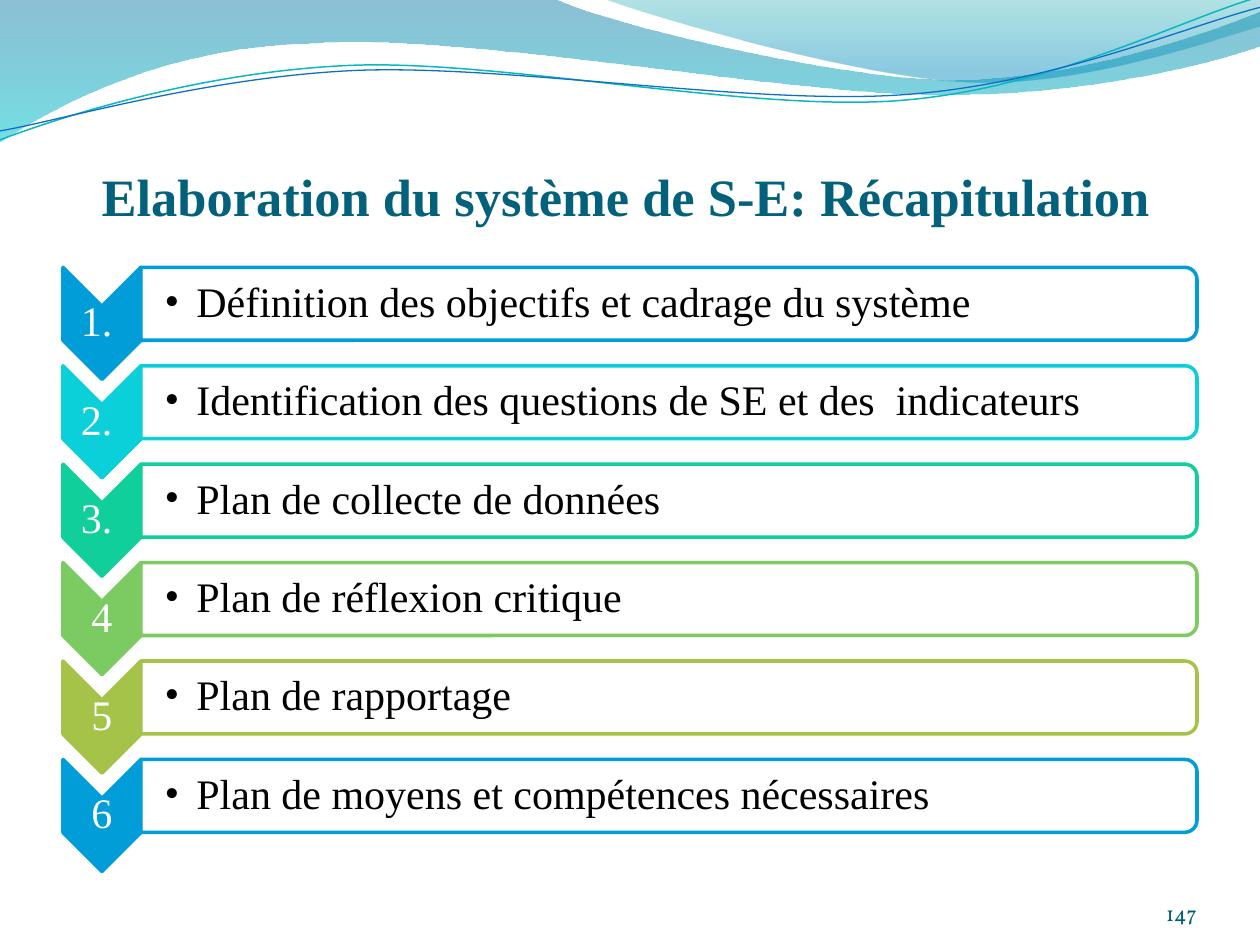
from lxml.etree import SubElement
from pptx import Presentation
from pptx.dml.color import RGBColor
from pptx.enum.shapes import MSO_SHAPE as Preset
from pptx.enum.text import MSO_ANCHOR as Anchor, MSO_AUTO_SIZE as AutoSize, PP_ALIGN as Align
from pptx.oxml.ns import qn
from pptx.util import Cm, Pt

SERIF = "Times New Roman"
STEPS = [
    ("1. ", "Définition des objectifs et cadrage du système", "009DD9"),
    ("2. ", "Identification des questions de SE et des  indicateurs", "0BD0D9"),
    ("3. ", "Plan de collecte de données", "10CF9B"),
    ("4", "Plan de réflexion critique", "7CCA62"),
    ("5", "Plan de rapportage", "A5C249"),
    ("6", "Plan de moyens et compétences nécessaires", "009DD9"),
]
FIRST_STEP_TOP, LAST_STEP_TOP = 5.39, 15.31
STEP_PITCH = (LAST_STEP_TOP - FIRST_STEP_TOP) / (len(STEPS) - 1)

# Each wave is a start point followed by segments: one point for a straight
# line, three points for a Bézier curve. All values are centimetres.
LARGE_WAVE = [
    (0, 0),
    [(11.18, -0.03)],
    [(12.09, 0.43), (16.87, 1.6), (19.25, 1.6)],
    [(21.67, 1.6), (24.33, 0.66), (25.4, 0.23)],
    [(25.43, 0.91)],
    [(24.97, 1.12), (22.1, 1.93), (18.95, 1.91)],
    [(15.8, 1.91), (9.7, 0.71), (6.53, 0.86)],
    [(3.28, 0.91), (1.17, 2.11), (-0.03, 2.87)],
    [(0, 0)],
]
SMALL_WAVE = [
    (12.17, -0.03),
    [(12.93, 0.28), (17.32, 1.57), (19.53, 1.65)],
    [(21.74, 1.75), (24.41, 0.81), (25.4, 0.53)],
    [(25.4, 0)],
    [(12.17, -0.03)],
]
TEAL_RIPPLE = [
    (0, 2.82),
    [(1.22, 2.36), (4.01, 1.45), (7.04, 1.32)],
    [(10.03, 1.19), (15.06, 2.26), (18.11, 2.03)],
    [(21.16, 1.8), (23.83, 0.38), (25.35, -0.05)],
]
BLUE_RIPPLE = [
    (0, 2.64),
    [(1.19, 2.44), (4.17, 1.55), (7.19, 1.42)],
    [(10.24, 1.3), (15.16, 2.13), (18.21, 1.91)],
    [(21.23, 1.7), (23.9, 0.53), (25.4, 0.15)],
]


def rgb(hex_code):
    return RGBColor.from_string(hex_code)


def set_opacity(color_parent, percent):
    color = next(color_parent.iter(qn("a:srgbClr")))
    SubElement(color, qn("a:alpha"), val=str(percent * 1000))


def bend_segments(wave, segments):
    """Merge the three straight lines of each curved segment into one Bézier."""
    lines = iter(list(wave._element.spPr.iter(qn("a:lnTo"))))
    for segment in segments:
        controls = [next(lines) for _ in segment]
        if len(controls) == 3:
            outline = controls[0].getparent()
            curve = SubElement(outline, qn("a:cubicBezTo"))
            controls[0].addprevious(curve)
            for line in controls:
                curve.append(line[0])
                outline.remove(line)


def add_wave(slide, outline, closed):
    start, *segments = outline
    builder = slide.shapes.build_freeform(*map(Cm, start))
    builder.add_line_segments(
        [(Cm(x), Cm(y)) for segment in segments for x, y in segment], close=False)
    wave = builder.convert_to_shape()
    bend_segments(wave, segments)
    if closed:
        SubElement(next(wave._element.spPr.iter(qn("a:path"))), qn("a:close"))
    wave.shadow.inherit = False
    return wave


def add_gradient_wave(slide, outline, stops):
    """Fill top to bottom; each stop is (position, colour, opacity percent)."""
    wave = add_wave(slide, outline, closed=True)
    wave.line.fill.background()
    wave.fill.gradient()
    wave.fill.gradient_angle = 270
    for stop, (position, color, _) in zip(wave.fill.gradient_stops, stops):
        stop.position = position
        stop.color.rgb = rgb(color)
    for element, (_, _, opacity) in zip(wave._element.spPr.iter(qn("a:gs")), stops):
        set_opacity(element, opacity)


def add_ripple(slide, outline, color, width):
    ripple = add_wave(slide, outline, closed=False)
    ripple.fill.background()
    ripple.line.color.rgb = rgb(color)
    ripple.line.width = Pt(width)


def write(holder, text, *, size, color, font=SERIF, bold=False, align=Align.LEFT,
          anchor=Anchor.MIDDLE, insets=(0, 0, 0, 0), spacing=1.0, bullet=False):
    """Insets are left, top, right and bottom in centimetres."""
    frame = holder.text_frame
    frame.word_wrap = True
    frame.auto_size = AutoSize.NONE
    frame.vertical_anchor = anchor
    (frame.margin_left, frame.margin_top,
     frame.margin_right, frame.margin_bottom) = map(Cm, insets)
    paragraph = frame.paragraphs[0]
    paragraph.alignment = align
    paragraph.line_spacing = spacing
    if bullet:
        paragraph.level = 1
        properties = paragraph._p.get_or_add_pPr()
        properties.set("marL", str(Cm(0.64)))
        properties.set("indent", str(-Cm(0.64)))
        SubElement(properties, qn("a:buFont"), typeface=font)
        SubElement(properties, qn("a:buChar"), char="•")
    run = paragraph.add_run()
    run.text = text
    run.font.name = font
    run.font.size = Pt(size)
    run.font.bold = bold
    run.font.color.rgb = rgb(color)


def add_label(slide, text, left, top, width, height, **text_format):
    label = slide.shapes.add_textbox(Cm(left), Cm(top), Cm(width), Cm(height))
    write(label, text, **text_format)


def add_turned(slide, preset, left, top, width, height, fill, outline):
    """Place a shape turned by 90 degrees so that it covers the given area."""
    shift = (width - height) / 2
    turned = slide.shapes.add_shape(
        preset, Cm(left + shift), Cm(top - shift), Cm(height), Cm(width))
    turned.rotation = 90
    turned.shadow.inherit = False
    turned.fill.solid()
    turned.fill.fore_color.rgb = rgb(fill)
    turned.line.color.rgb = rgb(outline)
    turned.line.width = Pt(2)
    return turned


def add_step(slide, top, number, description, color):
    add_turned(slide, Preset.CHEVRON, 1.27, top, 1.57, 2.26, color, color)
    add_label(slide, number, 1.27, top + 0.78, 1.57, 0.69, size=24, color="FFFFFF",
              align=Align.CENTER, insets=[0.05] * 4, spacing=0.9)
    card = add_turned(slide, Preset.ROUND_2_SAME_RECTANGLE,
                      2.84, top, 21.29, 1.47, "FFFFFF", color)
    set_opacity(card._element.spPr.find(qn("a:solidFill")), 90)
    add_label(slide, description, 2.84, top + 0.07, 21.21, 1.32, size=24,
              color="000000", insets=(0.48, 0.05, 0.05, 0.05), spacing=0.9, bullet=True)


def main():
    deck = Presentation()
    deck.slide_width, deck.slide_height = Cm(25.4), Cm(19.05)
    slide = deck.slides.add_slide(deck.slide_layouts[5])

    add_gradient_wave(slide, LARGE_WAVE, [(0, "0074A1", 45), (1, "00C6CF", 55)])
    add_gradient_wave(slide, SMALL_WAVE, [(0, "00A1A9", 30), (0.8, "008BBF", 45)])
    add_ripple(slide, TEAL_RIPPLE, "0AB8BF", 0.85)
    add_ripple(slide, BLUE_RIPPLE, "0F6FC6", 0.75)

    title = slide.shapes.title
    title.left, title.top, title.width, title.height = map(Cm, (1.19, 2.78, 22.86, 1.8))
    write(title, "Elaboration du système de S-E: Récapitulation", size=30,
          color="04617B", bold=True, align=Align.CENTER, anchor=Anchor.BOTTOM,
          insets=(0, 0.13, 0, 0))

    for index, step in enumerate(STEPS):
        add_step(slide, FIRST_STEP_TOP + index * STEP_PITCH, *step)

    add_label(slide, "147", 22.02, 17.65, 2.11, 1.02, size=12, color="045D75",
              font="Vollkorn", align=Align.RIGHT, anchor=Anchor.BOTTOM)
    deck.save("out.pptx")


if __name__ == "__main__":
    main()
